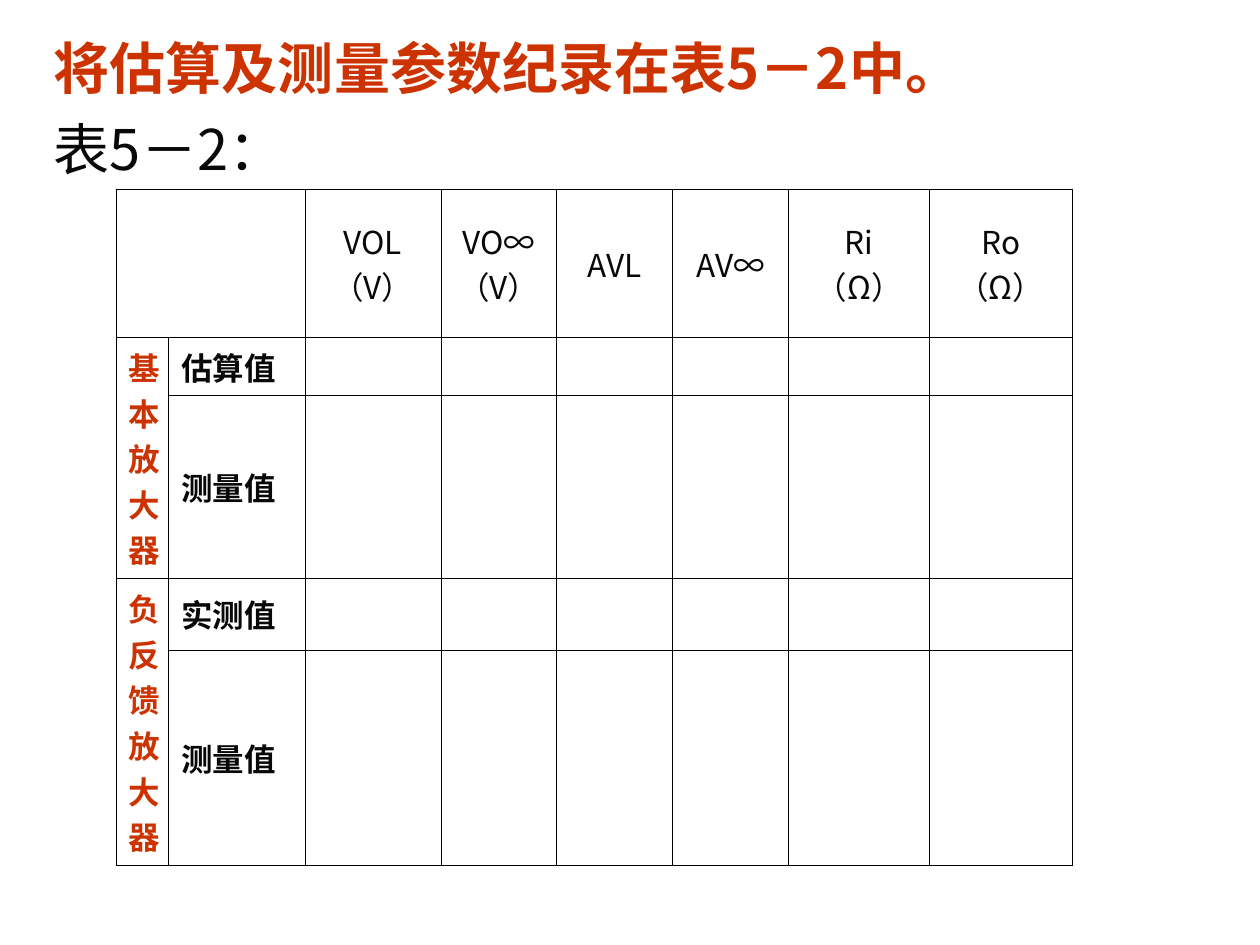
from lxml.etree import SubElement
from pptx import Presentation
from pptx.dml.color import RGBColor
from pptx.enum.text import MSO_ANCHOR, PP_ALIGN
from pptx.oxml.ns import qn
from pptx.util import Inches, Pt

RED = RGBColor(0xCC, 0x33, 0x00)
INK = RGBColor(0x08, 0x08, 0x08)
LINE = RGBColor(0, 0, 0)
FONT = "Noto Sans CJK SC"

COLS = [0.42, 1.08, 1.08, 0.92, 0.92, 0.92, 1.12, 1.13]
ROWS = [1.18, 0.46, 1.45, 0.57, 1.71]
HEADS = ["VOL\n（V）", "VO∞\n（V）", "AVL", "AV∞", "Ri\n（Ω）", "Ro\n（Ω）"]
# Group name, alignment and its two row labels
GROUPS = [
    ("基本放大器", PP_ALIGN.LEFT, ["估算值", "测量值"]),
    ("负反馈放大器", PP_ALIGN.CENTER, ["实测值", "测量值"]),
]


def style(run, size, color, bold=False):
    font = run.font
    font.size, font.bold, font.name = Pt(size), bold, FONT
    font.color.rgb = color
    SubElement(run._r.get_or_add_rPr(), qn("a:ea"), typeface=FONT)


def border(cell):
    props = cell._tc.get_or_add_tcPr()
    for side in ("lnL", "lnR", "lnT", "lnB"):
        line = SubElement(props, qn(f"a:{side}"), w=str(Pt(0.45)))
        fill = SubElement(line, qn("a:solidFill"))
        SubElement(fill, qn("a:srgbClr"), val=str(LINE))


def write(cell, text, color=INK, bold=False, align=PP_ALIGN.LEFT):
    cell.text_frame.text = text
    for para in cell.text_frame.paragraphs:
        para.alignment = align
        for run in para.runs:
            style(run, 18, color, bold)


def add_title(slide, box):
    frame = slide.shapes.add_textbox(*box).text_frame
    frame.word_wrap = True
    frame.vertical_anchor = MSO_ANCHOR.MIDDLE
    frame.text = "将估算及测量参数纪录在表5－2中。\n表5－2："
    lead, label = frame.paragraphs
    label.space_before = Pt(8)
    style(lead.runs[0], 32, RED, True)
    style(label.runs[0], 32, INK)


def add_grid(slide, box):
    grid = slide.shapes.add_table(len(ROWS), len(COLS), *box).table
    for col, width in zip(grid.columns, COLS):
        col.width = Inches(width)
    for row, height in zip(grid.rows, ROWS):
        row.height = Inches(height)

    # Plain ruled cells
    for cell in grid.iter_cells():
        border(cell)
        cell.fill.background()
        cell.vertical_anchor = MSO_ANCHOR.MIDDLE

    # Header row
    grid.cell(0, 0).merge(grid.cell(0, 1))
    for col, head in enumerate(HEADS, 2):
        write(grid.cell(0, col), head, align=PP_ALIGN.CENTER)

    # Row groups, two rows each
    for index, (name, align, labels) in enumerate(GROUPS):
        top = 1 + 2 * index
        grid.cell(top, 0).merge(grid.cell(top + 1, 0))
        write(grid.cell(top, 0), name, RED, True, align)
        for row, label in enumerate(labels, top):
            write(grid.cell(row, 1), label, bold=True)


def main():
    deck = Presentation()
    deck.slide_width, deck.slide_height = Inches(10), Inches(7.5)
    slide = deck.slides.add_slide(deck.slide_layouts[6])
    add_title(slide, [Inches(n) for n in (0.33, 0.23, 9.34, 1.25)])
    add_grid(slide, [Inches(n) for n in (0.92, 1.5, sum(COLS), sum(ROWS))])
    deck.save("out.pptx")


if __name__ == "__main__":
    main()
